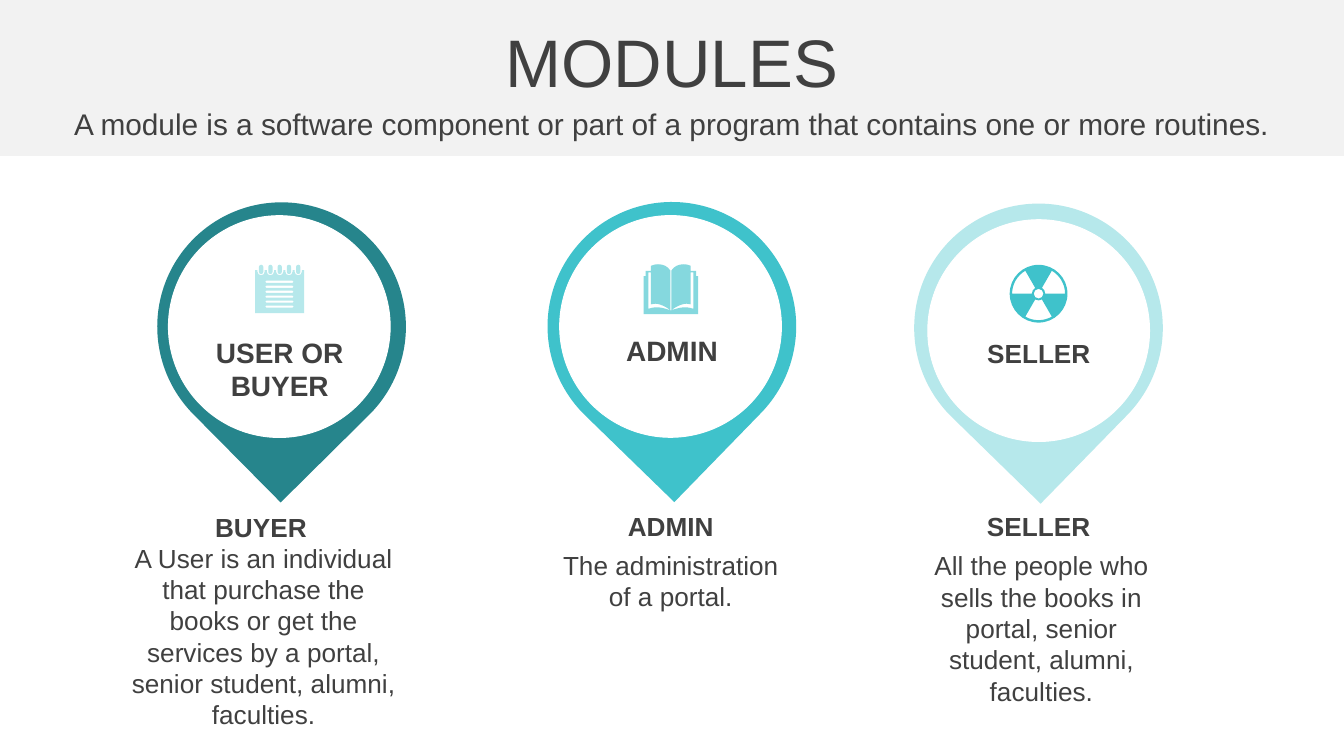
from dataclasses import dataclass
from math import ceil, cos, radians, sin, tan

from pptx import Presentation
from pptx.dml.color import RGBColor
from pptx.enum.shapes import MSO_SHAPE
from pptx.enum.text import MSO_ANCHOR, PP_ALIGN
from pptx.oxml.ns import qn
from pptx.oxml.xmlchemy import OxmlElement
from pptx.util import Inches, Pt

RECTANGLE = MSO_SHAPE.RECTANGLE
ELLIPSE = MSO_SHAPE.OVAL
TEARDROP = MSO_SHAPE.TEAR
MIDDLE = MSO_ANCHOR.MIDDLE
CENTER = PP_ALIGN.CENTER

FONT = "Arial"
COLORS = {
    "band": "F2F2F2",
    "text": "404040",
    "white": "FFFFFF",
    "dark": "26858C",
    "teal": "3FC2CB",
    "soft": "85D8DE",
    "pale": "B6E8EB",
}

WIDTH, HEIGHT = Inches(10), Inches(5.625)
COLUMNS, ROWS = 100, 56.25
COLUMN, ROW = WIDTH / COLUMNS, HEIGHT / ROWS
PIN_SIZE, DISC_SIZE = 18.5, 16.5
LABEL_WIDTH, HEADING_HEIGHT = 14.4, 3.4

Point = tuple[float, float]
Contour = list[tuple[Point, ...]]


@dataclass(frozen=True)
class Area:
    column: float
    row: float
    columns: float
    rows: float

    def emu(self) -> tuple[int, int, int, int]:
        return (round(self.column * COLUMN), round(self.row * ROW),
                round(self.columns * COLUMN), round(self.rows * ROW))


@dataclass(frozen=True)
class Module:
    color: str
    pin: Point
    angle: float
    disc: Point
    label: str
    label_area: Area
    label_size: int
    heading: str
    heading_area: Area
    body: str
    body_area: Area


MODULES = [
    Module("pale", (68.02, 15.15), 134.3, (69.03, 16.35),
           "SELLER", Area(70.1, 24.6, LABEL_WIDTH, 3.4), 14,
           "SELLER", Area(67.83, 37.45, 18.9, HEADING_HEIGHT),
           "All the people who sells the books in portal, senior student, "
           "alumni, faculties.", Area(68.04, 40.34, 18.9, 12.8)),
    Module("teal", (40.74, 15.03), 134.2, (41.64, 16.04),
           "ADMIN", Area(42.8, 24.3, LABEL_WIDTH, 3.5), 15,
           "ADMIN", Area(40.46, 37.45, 18.9, HEADING_HEIGHT),
           "The administration of a portal.", Area(40.46, 40.36, 18.9, 5.7)),
    Module("dark", (11.7, 15.05), 135.3, (12.53, 16.05),
           "USER OR BUYER", Area(13.62, 24.4, LABEL_WIDTH, 6.1), 15,
           "BUYER", Area(8.62, 37.55, 21.6, HEADING_HEIGHT),
           "A User is an individual that purchase the books or get the services "
           "by a portal, senior student, alumni, faculties.",
           Area(8.82, 39.77, 21.6, 15.1)),
]


def paint(shape, color: str) -> None:
    shape.shadow.inherit = False
    shape.fill.solid()
    shape.fill.fore_color.rgb = RGBColor.from_string(COLORS[color])
    shape.line.fill.background()


def add_preset(page, kind, area: Area, color: str, angle: float = 0):
    shape = page.shapes.add_shape(kind, *area.emu())
    paint(shape, color)
    shape.rotation = angle
    return shape


def add_text(page, area: Area, text: str, size: int, bold: bool = False) -> None:
    frame = page.shapes.add_textbox(*area.emu()).text_frame
    frame.word_wrap = True
    frame.vertical_anchor = MIDDLE
    frame.text = text
    para = frame.paragraphs[0]
    para.alignment = CENTER
    for span in para.runs:
        span.font.name = FONT
        span.font.size = Pt(size)
        span.font.bold = bold
        span.font.color.rgb = RGBColor.from_string(COLORS["text"])


def add_module(page, module: Module) -> None:
    add_preset(page, TEARDROP, Area(*module.pin, PIN_SIZE, PIN_SIZE),
               module.color, module.angle)
    disc = add_preset(page, ELLIPSE, Area(*module.disc, DISC_SIZE, DISC_SIZE), "white")
    disc.line.color.rgb = RGBColor.from_string(COLORS["white"])
    disc.line.width = Pt(0.5)
    add_text(page, module.label_area, module.label, module.label_size, True)
    add_text(page, module.heading_area, module.heading, 14, True)
    add_text(page, module.body_area, module.body, 14)


def bend(shape, contours: list[Contour]) -> None:
    segments = iter(list(shape.element.iter(qn("a:lnTo"))))
    for contour in contours:
        for step in contour[1:]:
            nodes = [next(segments) for point in step]
            if len(nodes) == 3:
                curve = OxmlElement("a:cubicBezTo")
                nodes[0].addprevious(curve)
                for node in nodes:
                    curve.append(node[0])
                    node.getparent().remove(node)


def add_icon(page, origin: Point, contours: list[Contour], color: str) -> None:
    left, top = origin
    outlines = [[((left + x) * COLUMN, (top + y) * ROW) for step in contour for x, y in step]
                for contour in contours]
    builder = page.shapes.build_freeform(*outlines[0][0], scale=1.0)
    for index, outline in enumerate(outlines):
        if index:
            builder.move_to(*outline[0])
        builder.add_line_segments(outline[1:], close=True)
    shape = builder.convert_to_shape()
    bend(shape, contours)
    paint(shape, color)


def lines(*points: Point) -> Contour:
    return [(point,) for point in points]


def arc(center: Point, radius: float, start: float, end: float) -> Contour:
    def at(angle: float, offset: float = 0) -> Point:
        across, down = cos(radians(angle)), sin(radians(angle))
        return (center[0] + radius * (across - offset * down),
                center[1] + radius * (down + offset * across))

    count = ceil(abs(end - start) / 90)
    turn = (end - start) / count
    pull = 4 / 3 * tan(radians(turn) / 4)
    angles = [start + turn * index for index in range(count)]
    return lines(at(start)) + [
        (at(angle, pull), at(angle + turn, -pull), at(angle + turn)) for angle in angles]


def stadium(first: Point, second: Point, radius: float, start: int) -> Contour:
    return (arc(first, radius, start, start + 180)
            + arc(second, radius, start + 180, start + 360))


def mirror(contour: Contour) -> Contour:
    steps = [tuple((-x, y) for x, y in step) for step in contour]
    return [(steps[-1][-1],)] + [
        (*reversed(step[:-1]), before[-1])
        for before, step in reversed(list(zip(steps, steps[1:])))]


def notepad() -> list[Contour]:
    rings = [0.45 + 0.69 * index for index in range(5)]
    rules = [1.27 + 0.37 * index for index in range(6)]
    sheet = lines((0, 0.4))
    for ring in rings:
        sheet += (lines((ring - 0.27, 0.4)) + arc((ring, 0.52), 0.27, 180, 0)
                  + lines((ring + 0.27, 0.4)))
    sheet += lines((3.64, 0.4), (3.64, 3.6), (0, 3.6))
    return ([stadium((0.83, rule), (2.79, rule), 0.08, 90) for rule in rules] + [sheet]
            + [stadium((ring, 0.16), (ring, 0.54), 0.16, 180) for ring in rings])


def book() -> list[Contour]:
    half = lines((0.03, 3.43))
    half += [((0.7, 3.2), (1.1, 3.12), (1.68, 3.32))]
    half += lines((1.68, 0.6), (1.48, 0.6), (1.48, 2.98))
    half += [((1.1, 2.84), (0.5, 3.04), (0.03, 3.43))]
    half += lines((0.03, 0.48))
    half += [((0.25, 0.13), (0.6, 0), (0.95, 0)), ((1.13, 0), (1.3, 0.03), (1.48, 0.12))]
    half += lines((1.48, 0.5), (1.88, 0.5), (1.88, 0.88), (2.02, 0.88), (2.02, 3.72))
    return [half + mirror(half)]


def trefoil() -> list[Contour]:
    center = (0, 0)
    sectors = [arc(center, 1.97, start, start + 60) + arc(center, 0.5, start + 60, start)
               for start in (60, 180, 300)]
    return [arc(center, 2.15, 0, 360), arc(center, 0.36, 0, 360)] + sectors


def main() -> None:
    deck = Presentation()
    deck.slide_width, deck.slide_height = WIDTH, HEIGHT
    page = deck.slides.add_slide(deck.slide_layouts[6])
    add_preset(page, RECTANGLE, Area(0, 0, COLUMNS, 11.6), "band")
    add_text(page, Area(0, 1.4, COLUMNS, 6.3), "MODULES", 36)
    add_text(page, Area(0, 7.64, COLUMNS, 3.1),
             "A module is a software component or part of a program that "
             "contains one or more routines.", 16)
    for module in MODULES:
        add_module(page, module)
    add_icon(page, (49.92, 19.66), book(), "soft")
    add_icon(page, (18.98, 19.7), notepad(), "pale")
    add_icon(page, (77.28, 21.86), trefoil(), "teal")
    deck.save("out.pptx")


if __name__ == "__main__":
    main()
